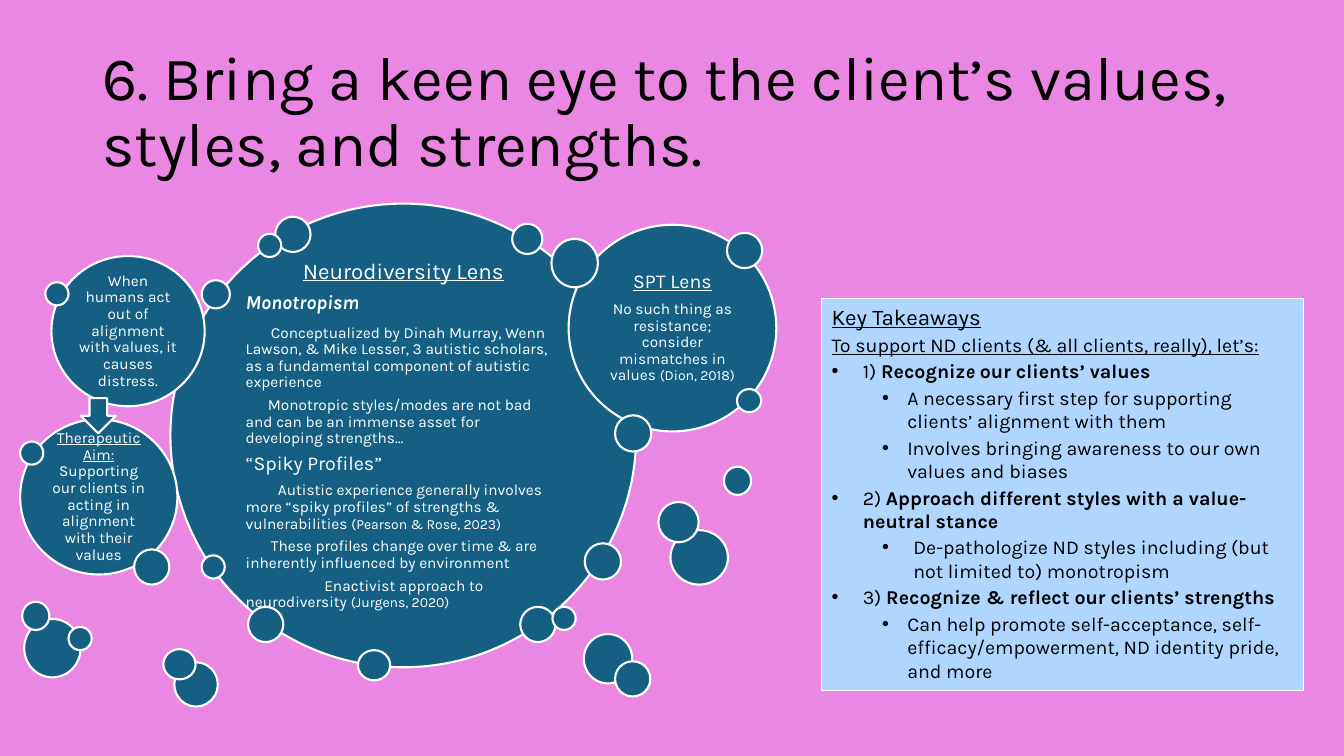
import pptx
import pptx.dml.color
import pptx.enum.shapes
import pptx.enum.text
import pptx.oxml
import pptx.oxml.ns
import pptx.util
from pptx.util import Inches

SHAPE = pptx.enum.shapes.MSO_SHAPE
ALIGN = pptx.enum.text.PP_ALIGN
ANCHOR = pptx.enum.text.MSO_ANCHOR

PINK, TEAL, PALE_BLUE = "EA87E3", "156082", "B0D6FF"
WHITE, BLACK = "FFFFFF", "000000"

# Small bubbles from back to front: left, top, width, height
BUBBLES = [
    (5.08, 2.22, 0.3, 0.3), (2.46, 6.02, 0.35, 0.35), (6.65, 5.26, 0.57, 0.54),
    (0.24, 6.14, 0.56, 0.58), (1.73, 6.57, 0.43, 0.44), (6.53, 4.98, 0.4, 0.4),
    (2, 2.78, 0.28, 0.28), (3.55, 6.45, 0.32, 0.3), (5.8, 5.39, 0.36, 0.36),
    (5.79, 6.29, 0.48, 0.49), (7.18, 4.63, 0.27, 0.28), (5.47, 2.37, 0.46, 0.48),
    (6.1, 6.56, 0.35, 0.35), (2.73, 2.15, 0.35, 0.35), (7.31, 3.86, 0.24, 0.23),
    (0.2, 4.38, 0.23, 0.23), (0.22, 5.97, 0.27, 0.28), (5.16, 6.02, 0.35, 0.35),
    (7.21, 2.31, 0.35, 0.35), (1.33, 5.45, 0.35, 0.35), (5.48, 6.02, 0.23, 0.23),
    (6.1, 4.12, 0.36, 0.36), (0.68, 6.22, 0.23, 0.23), (0.45, 2.8, 0.23, 0.23),
    (2.56, 2.32, 0.23, 0.23), (2, 5.51, 0.23, 0.23), (1.62, 6.44, 0.32, 0.3),
]


def rgb(hex_color):
    return pptx.dml.color.RGBColor.from_string(hex_color)


def add_text(paragraph, text, size=11, color=WHITE, bold=False, italic=False, underline=False):
    run = paragraph.add_run()
    run.text = text
    font = run.font
    font.name, font.size = "Karla", pptx.util.Pt(size)
    font.color.rgb = rgb(color)
    font.bold, font.italic, font.underline = bold, italic, underline


def prepare_frame(shape, anchor, inset=None):
    frame = shape.text_frame
    frame.word_wrap = True
    frame.vertical_anchor = anchor
    if inset is not None:
        frame.margin_left = frame.margin_right = Inches(inset)
        frame.margin_top = frame.margin_bottom = Inches(inset)
    return frame


def add_paragraph(frame, align=ALIGN.LEFT, line=1.0, before=0, after=0, left=0, first=0, bullet=False):
    """Start a paragraph, using the frame's empty first one if it is free."""
    paragraph = frame.paragraphs[0]
    if paragraph.runs:
        paragraph = frame.add_paragraph()
    paragraph.alignment = align
    paragraph.line_spacing = line
    paragraph.space_before = pptx.util.Pt(before)
    paragraph.space_after = pptx.util.Pt(after)
    properties = paragraph._p.get_or_add_pPr()
    properties.set("marL", str(Inches(left)))
    properties.set("indent", str(Inches(first)))
    if bullet:
        namespace = pptx.oxml.ns.nsdecls("a")
        for tag in (f'<a:buFont {namespace} typeface="Arial"/>', f'<a:buChar {namespace} char="•"/>'):
            properties.append(pptx.oxml.parse_xml(tag))
    return paragraph


def add_figure(slide, kind, box, fill=TEAL, line_width=1.5):
    figure = slide.shapes.add_shape(kind, *map(Inches, box))
    figure.shadow.inherit = False
    figure.fill.solid()
    figure.fill.fore_color.rgb = rgb(fill)
    figure.line.color.rgb = rgb(WHITE)
    figure.line.width = pptx.util.Pt(line_width)
    return figure


def add_lens(slide, box, inset, paragraphs):
    """Add a circle with text; each paragraph is (layout, [(text, format), ...])."""
    frame = prepare_frame(add_figure(slide, SHAPE.OVAL, box), ANCHOR.MIDDLE, inset)
    for layout, runs in paragraphs:
        after = 0.4 * runs[0][1].get("size", 11)
        paragraph = add_paragraph(frame, line=0.9, after=after, **layout)
        for text, style in runs:
            add_text(paragraph, text, **style)


def add_title(slide):
    box = slide.shapes.add_textbox(*map(Inches, (0.92, 0.4, 11.5, 1.45)))
    paragraph = add_paragraph(prepare_frame(box, ANCHOR.MIDDLE), line=0.9)
    add_text(paragraph, "6. Bring a keen eye to the client’s values, styles, and strengths.",
             size=44, color=BLACK)


def add_lenses(slide):
    centered = {"align": ALIGN.CENTER}
    citation = {"size": 10}
    add_lens(slide, (1.69, 2.02, 4.62, 4.6), 0.07, [
        (centered, [("Neurodiversity Lens", {"size": 16, "underline": True})]),
        ({}, [("Monotropism", {"size": 14, "bold": True, "italic": True})]),
        ({"first": 0.25, "before": 2}, [
            ("Conceptualized by Dinah Murray, Wenn Lawson, & Mike Lesser, 3 autistic scholars, "
             "as a fundamental component of autistic experience", {})]),
        ({"first": 0.22}, [
            ("Monotropic styles/modes are not bad and can be an immense asset for developing "
             "strengths…", {})]),
        ({}, [("“Spiky Profiles”", {"size": 14})]),
        ({"first": 0.32}, [
            ("Autistic experience generally involves more “spiky profiles” of strengths & "
             "vulnerabilities ", {}), ("(Pearson & Rose, 2023)", citation)]),
        ({"first": 0.25}, [
            ("These profiles change over time & are inherently influenced by environment", {})]),
        ({"first": 0.78}, [
            ("Enactivist approach to neurodiversity ", {}), ("(Jurgens, 2020)", citation)]),
    ])
    add_lens(slide, (0.51, 2.54, 1.52, 1.49), 0.05, [
        (centered, [("When humans act out of alignment with values, it causes distress.", {})]),
    ])
    add_lens(slide, (5.64, 2.23, 2.06, 2.05), 0.06, [
        (centered, [("SPT Lens", {"size": 14, "underline": True})]),
        (centered, [("No such thing as resistance; consider mismatches in values ", {}),
                    ("(Dion, 2018)", citation)]),
    ])
    add_lens(slide, (0.2, 4.16, 1.56, 1.54), 0.05, [
        (centered, [("Therapeutic Aim:", {"underline": True}),
                    (" Supporting our clients in acting in alignment with their values", {})]),
    ])


def add_takeaways(slide):
    panel = add_figure(slide, SHAPE.RECTANGLE, (8.15, 2.96, 4.78, 3.89), PALE_BLUE, 0.75)
    frame = prepare_frame(panel, ANCHOR.TOP)
    headings = [("Key Takeaways", 16), ("To support ND clients (& all clients, really), let’s:", 14)]
    for heading, size in headings:
        add_text(add_paragraph(frame, after=2), heading, size=size, color=BLACK, underline=True)

    # Each takeaway: bold runs with their italics, indent and hang of its details, details
    takeaways = [
        ([("Recogniz", False), ("e", True), (" our clients’ values", False)], 0.75, 0.25,
         ["A necessary first step for supporting clients’ alignment with them",
          "Involves bringing awareness to our own values and biases"]),
        ([("Approach different styles with a value-neutral stance", False)], 0.81, 0.31,
         ["De-pathologize ND styles including (but not limited to) monotropism"]),
        ([("Recognize & reflect our clients’ strengths", False)], 0.75, 0.25,
         ["Can help promote self-acceptance, self-efficacy/empowerment, ND identity pride, and more"]),
    ]
    for number, (advice, indent, hang, details) in enumerate(takeaways, 1):
        point = add_paragraph(frame, after=2, left=0.31, first=-0.31, bullet=True)
        add_text(point, f"{number}) ", size=14, color=BLACK)
        for text, italic in advice:
            add_text(point, text, size=14, color=BLACK, bold=True, italic=italic)
        for detail in details:
            subpoint = add_paragraph(frame, after=2, left=indent, first=-hang, bullet=True)
            subpoint.level = 1
            add_text(subpoint, detail, size=14, color=BLACK)


def main():
    presentation = pptx.Presentation()
    presentation.slide_width, presentation.slide_height = Inches(13.33), Inches(7.5)
    slide = presentation.slides.add_slide(presentation.slide_layouts[6])
    slide.background.fill.solid()
    slide.background.fill.fore_color.rgb = rgb(PINK)

    add_title(slide)
    add_lenses(slide)
    add_takeaways(slide)
    add_figure(slide, SHAPE.DOWN_ARROW, (0.8, 3.95, 0.35, 0.35))
    for bubble in BUBBLES:
        add_figure(slide, SHAPE.OVAL, bubble)
    presentation.save("out.pptx")


if __name__ == "__main__":
    main()
